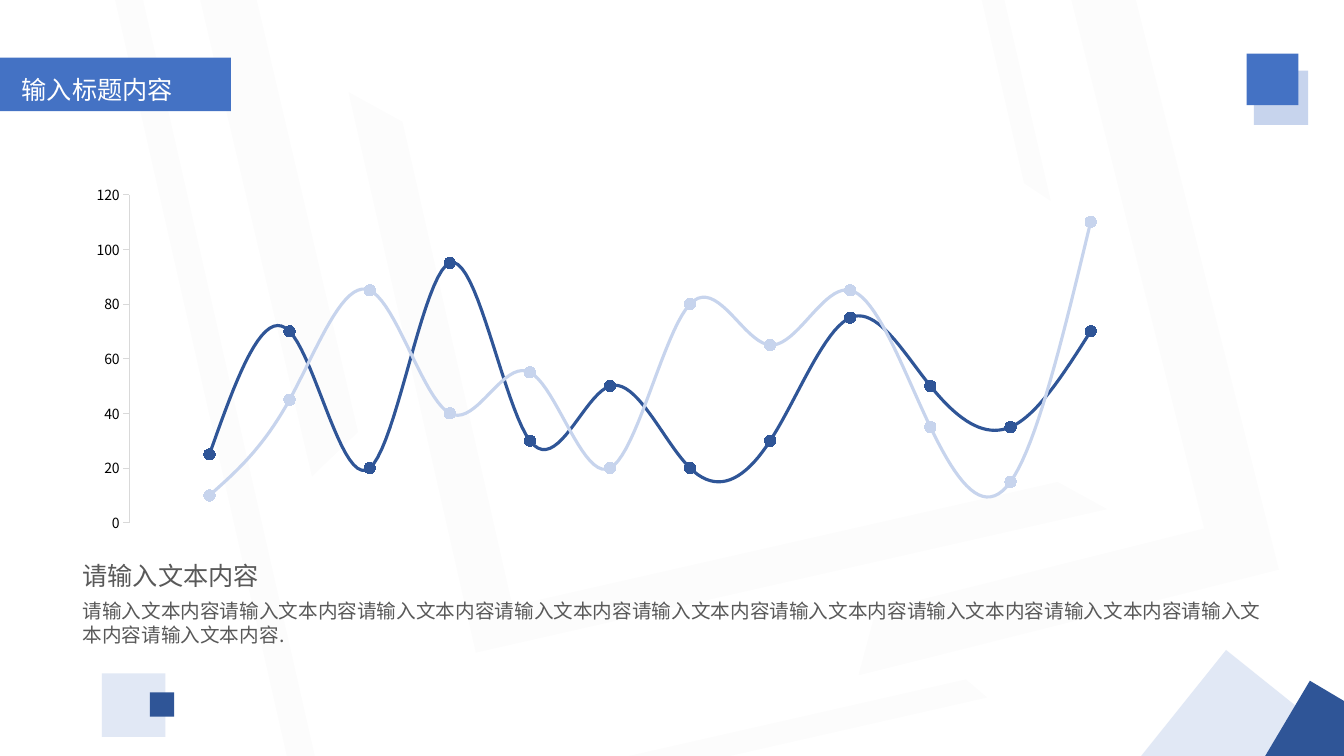
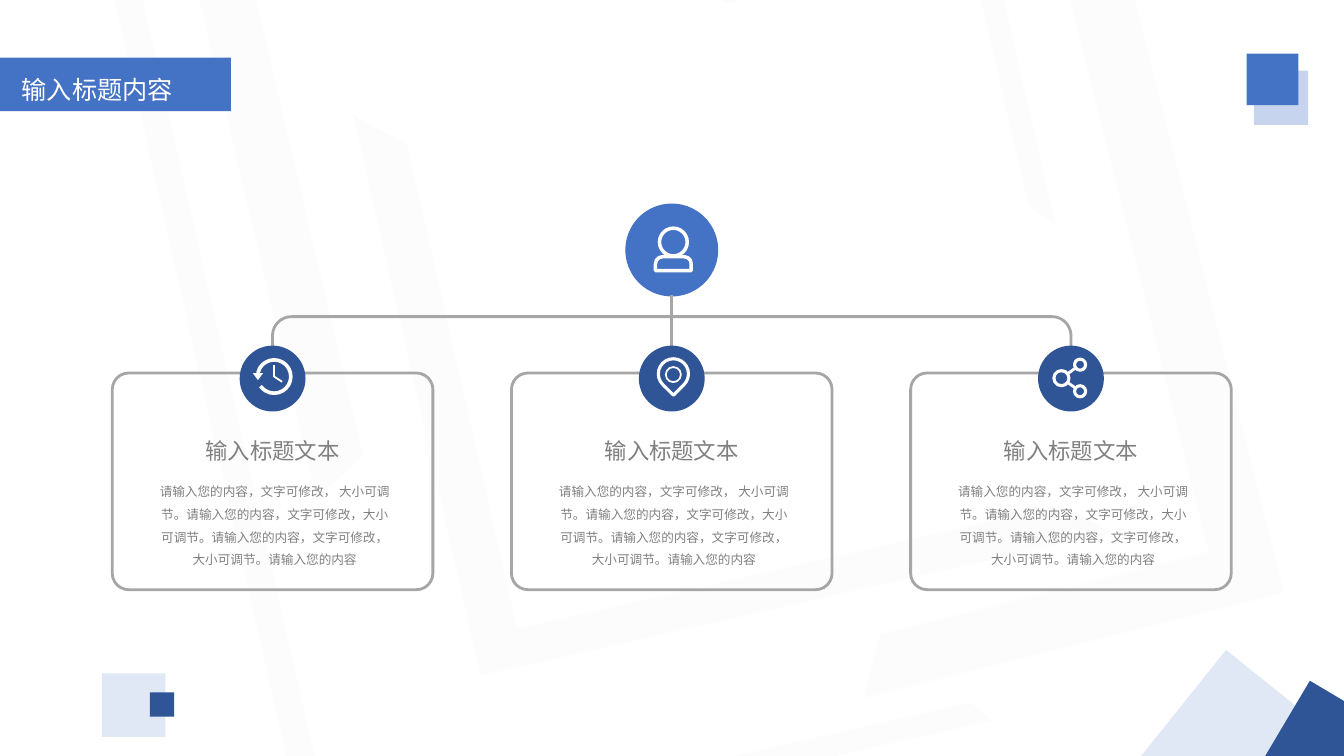
from math import cos, radians, sin

from lxml.etree import SubElement
from pptx import Presentation
from pptx.chart.data import XyChartData
from pptx.dml.color import RGBColor
from pptx.enum.chart import XL_CHART_TYPE, XL_MARKER_STYLE, XL_TICK_MARK
from pptx.enum.shapes import MSO_CONNECTOR, MSO_SHAPE
from pptx.enum.text import PP_ALIGN
from pptx.oxml.ns import qn
from pptx.util import Cm, Pt

INK = {
    "blue": "4472C4", "navy": "2F5597", "pale": "C7D4ED", "white": "FFFFFF",
    "gray": "A6A6A6", "mid": "808080", "dark": "595959", "rule": "D9D9D9",
    "black": "000000",
}
FONT = "Noto Sans CJK SC"
FRAMES = [
    (11.1, -0.58, 14.48, 16.31, 257.2, (0.08, 0.065), False),
    (1.93, -0.74, 23.57, 17.53, 257.2, (0.039, 0.032), False),
    (18.29, -1.45, 7.65, 7.19, 77, (0.077, 0.052), False),
    (5.92, -4.8, 24, 14.25, 346.8, (0.091, 0.097), False),
    (14.71, 0.69, 19.66, 10.92, 75.9, (0.144, 0.134), True),
]
SQUARES = [
    (31.6, 1.78, 1.37, "pale", 0, None),
    (29.29, 17.15, 3.81, "pale", 308.7, 53),
    (2.57, 16.97, 1.6, "pale", 0, 53),
    (3.78, 17.45, 0.61, "navy", 0, None),
    (31.42, 1.35, 1.3, "blue", 0, None),
    (32.26, 17.58, 2.31, "navy", 300.7, None),
]
SERIES = [
    ("Series 1", "pale", (10, 45, 85, 40, 55, 20, 80, 65, 85, 35, 15, 110)),
    ("Series 2", "navy", (25, 70, 20, 95, 30, 50, 20, 30, 75, 50, 35, 70)),
]
NOTE = ("请输入您的内容，文字可修改， 大小可调节。请输入您的内容，文字可修改，大小可调节。"
        "请输入您的内容，文字可修改， 大小可调节。请输入您的内容")


def tint(name):
    return RGBColor.from_string(INK[name])


class Deck:
    """Holds the shared style and the slide being drawn."""

    def __init__(self):
        self.prs = Presentation()
        self.prs.slide_width, self.prs.slide_height = Cm(33.87), Cm(19.05)
        self.slide = None

    def page(self, title, dx=0, dy=0):
        self.slide = self.prs.slides.add_slide(self.prs.slide_layouts[6])
        for x, y, w, h, turn, adj, flip in FRAMES:
            frame = self.shape(MSO_SHAPE.HALF_FRAME, x + dx, y + dy, w, h,
                               "gray", turn=turn, adj=adj, alpha=3)
            if flip:
                frame._element.spPr.xfrm.set("flipH", "1")
        self.shape(MSO_SHAPE.PENTAGON, 0, 1.45, 5.82, 1.35, "blue", adj=(0,))
        self.text(0.3, 1.73, 5.51, 1.09, [(title, 18)], "white",
                  PP_ALIGN.JUSTIFY)
        for x, y, side, fill, turn, alpha in SQUARES:
            self.shape(MSO_SHAPE.RECTANGLE, x, y, side, side, fill,
                       turn=turn, alpha=alpha)

    def paint(self, item, fill=None, line=None, width=2):
        item.shadow.inherit = False
        if fill:
            item.fill.solid()
            item.fill.fore_color.rgb = tint(fill)
        else:
            item.fill.background()
        if line:
            item.line.color.rgb = tint(line)
            item.line.width = Pt(width)
        else:
            item.line.fill.background()

    def shape(self, kind, x, y, w, h, fill=None, line=None, width=2,
              turn=0, adj=(), alpha=None):
        item = self.slide.shapes.add_shape(kind, Cm(x), Cm(y), Cm(w), Cm(h))
        item.rotation = turn
        for i, value in enumerate(adj):
            item.adjustments[i] = value
        self.paint(item, fill, line, width)
        if alpha:
            color = item._element.spPr.find(".//" + qn("a:srgbClr"))
            SubElement(color, qn("a:alpha")).set("val", str(alpha * 1000))
        return item

    def disc(self, x, y, r, fill=None, line=None, width=2,
             kind=MSO_SHAPE.OVAL, turn=0, adj=()):
        return self.shape(kind, x - r, y - r, 2 * r, 2 * r, fill, line,
                          width, turn, adj)

    def line(self, x1, y1, x2, y2, color="gray", width=2):
        item = self.slide.shapes.add_connector(
            MSO_CONNECTOR.STRAIGHT, Cm(x1), Cm(y1), Cm(x2), Cm(y2))
        item.line.color.rgb = tint(color)
        item.line.width = Pt(width)
        SubElement(item._element.spPr, qn("a:effectLst"))

    def rail(self, left, right, top, base, r):
        def bend(x, start):
            angles = [radians(start + step) for step in range(0, 91, 6)]
            return [(x + r * cos(a), top + r + r * sin(a)) for a in angles]

        points = bend(left + r, 180) + bend(right - r, 270) + [(right, base)]
        path = self.slide.shapes.build_freeform(Cm(left), Cm(base))
        path.add_line_segments([(Cm(x), Cm(y)) for x, y in points],
                               close=False)
        self.paint(path.convert_to_shape(), line="gray")

    def text(self, x, y, w, h, lines, color, align=PP_ALIGN.LEFT,
             lead=1.22, gap=0, inset=True):
        box = self.slide.shapes.add_textbox(Cm(x), Cm(y), Cm(w), Cm(h))
        frame = box.text_frame
        frame.word_wrap = True
        if not inset:
            frame.margin_left = frame.margin_right = 0
            frame.margin_top = frame.margin_bottom = 0
        for i, (words, size) in enumerate(lines):
            para = frame.add_paragraph() if i else frame.paragraphs[0]
            para.alignment = align
            para.line_spacing = Pt(round(size * lead, 1))
            if i:
                para.space_before = Pt(gap)
            run = para.add_run()
            run.text = words
            run.font.name = FONT
            run.font.size = Pt(size)
            run.font.color.rgb = tint(color)
            SubElement(run._r.get_or_add_rPr(), qn("a:ea")).set(
                "typeface", FONT)

    def chart(self, x, y, w, h):
        data = XyChartData()
        for name, _, values in SERIES:
            row = data.add_series(name)
            for i, value in enumerate(values, 1):
                row.add_data_point(i, value)
        chart = self.slide.shapes.add_chart(
            XL_CHART_TYPE.XY_SCATTER_SMOOTH, Cm(x), Cm(y), Cm(w), Cm(h),
            data).chart
        chart.has_legend = chart.has_title = False
        chart.font.name, chart.font.size = FONT, Pt(10)
        chart.font.color.rgb = tint("black")
        for axis, top, unit in ((chart.category_axis, 14, 2),
                                (chart.value_axis, 120, 20)):
            axis.has_major_gridlines = False
            axis.minimum_scale, axis.maximum_scale = 0, top
            axis.major_unit = unit
        chart.category_axis.visible = False
        axis = chart.value_axis
        axis.major_tick_mark = XL_TICK_MARK.OUTSIDE
        axis.minor_tick_mark = XL_TICK_MARK.NONE
        axis.format.line.color.rgb = tint("rule")
        axis.format.line.width = Pt(0.5)
        plot = chart.plots[0]
        plot.vary_by_categories = False
        for row, (_, color, _) in zip(plot.series, SERIES):
            row._element.get_or_add_smooth().val = True
            row.format.line.color.rgb = tint(color)
            row.format.line.width = Pt(2.25)
            mark = row.marker
            mark.style, mark.size = XL_MARKER_STYLE.CIRCLE, 8
            mark.format.fill.solid()
            mark.format.fill.fore_color.rgb = tint(color)
            mark.format.line.color.rgb = tint(color)

    def clock(self, x, y):
        self.disc(x + 0.04, y - 0.05, 0.42, None, "white", 2.6,
                  MSO_SHAPE.ARC, adj=(192 * 0.6, 145 * 0.6))
        self.shape(MSO_SHAPE.ISOSCELES_TRIANGLE, x - 0.5, y - 0.14,
                   0.26, 0.18, "white", turn=180)
        self.line(x + 0.04, y - 0.34, x + 0.04, y - 0.03, "white", 1.3)
        self.line(x + 0.04, y - 0.05, x + 0.24, y + 0.08, "white", 1.3)

    def pin(self, x, y):
        self.disc(x + 0.04, y - 0.12, 0.38, None, "white", 2.25,
                  MSO_SHAPE.TEAR, turn=135)
        self.disc(x + 0.04, y - 0.1, 0.19, None, "white", 1.25)

    def share(self, x, y):
        ends = [(x + 0.23, y - 0.35), (x + 0.23, y + 0.32)]
        for end in ends:
            self.line(x - 0.24, y - 0.01, *end, "white", 2)
        self.disc(x - 0.24, y - 0.01, 0.19, "navy", "white", 2.2)
        for end in ends:
            self.disc(*end, 0.14, "navy", "white", 2.2)

    def user(self, x, y):
        self.disc(x, y, 1.17, "blue")
        self.disc(x + 0.04, y - 0.2, 0.35, None, "white", 2.5)
        self.shape(MSO_SHAPE.ROUND_2_SAME_RECTANGLE, x - 0.41, y + 0.17,
                   0.9, 0.35, None, "white", 2.5, adj=(0.5, 0))

    def card(self, x, y, icon):
        self.shape(MSO_SHAPE.ROUNDED_RECTANGLE, x - 4.04, y, 8.08, 5.46,
                   None, "gray", adj=(0.076,))
        self.disc(x, y + 0.14, 0.83, "navy")
        icon(x, y + 0.14)
        self.text(x - 2.2, y + 1.6, 4.4, 0.69, [("输入标题文本", 16)], "mid",
                  PP_ALIGN.CENTER, inset=False)
        self.text(x - 2.85, y + 2.61, 5.8, 2.31, [(NOTE, 9)], "mid",
                  PP_ALIGN.CENTER, lead=1.8, inset=False)


def main():
    deck = Deck()
    deck.page("输入标题内容")
    deck.chart(1.83, 4.47, 30.3, 9.14)
    words = "请输入文本内容"
    deck.text(1.83, 13.97, 30.3, 2.44,
              [(words, 18), (words * 10 + ".", 14)], "dark", gap=6)

    deck.page("输入标题内容", 0.12, 0.58)
    mid, step, top = 16.93, 10.06, 9.4
    deck.user(mid, 6.3)
    deck.rail(mid - step, mid + step, 7.98, top, 0.48)
    deck.line(mid, 7.44, mid, top)
    for i, icon in enumerate((deck.clock, deck.pin, deck.share), -1):
        deck.card(mid + i * step, top, icon)
    deck.prs.save("out.pptx")


if __name__ == "__main__":
    main()
